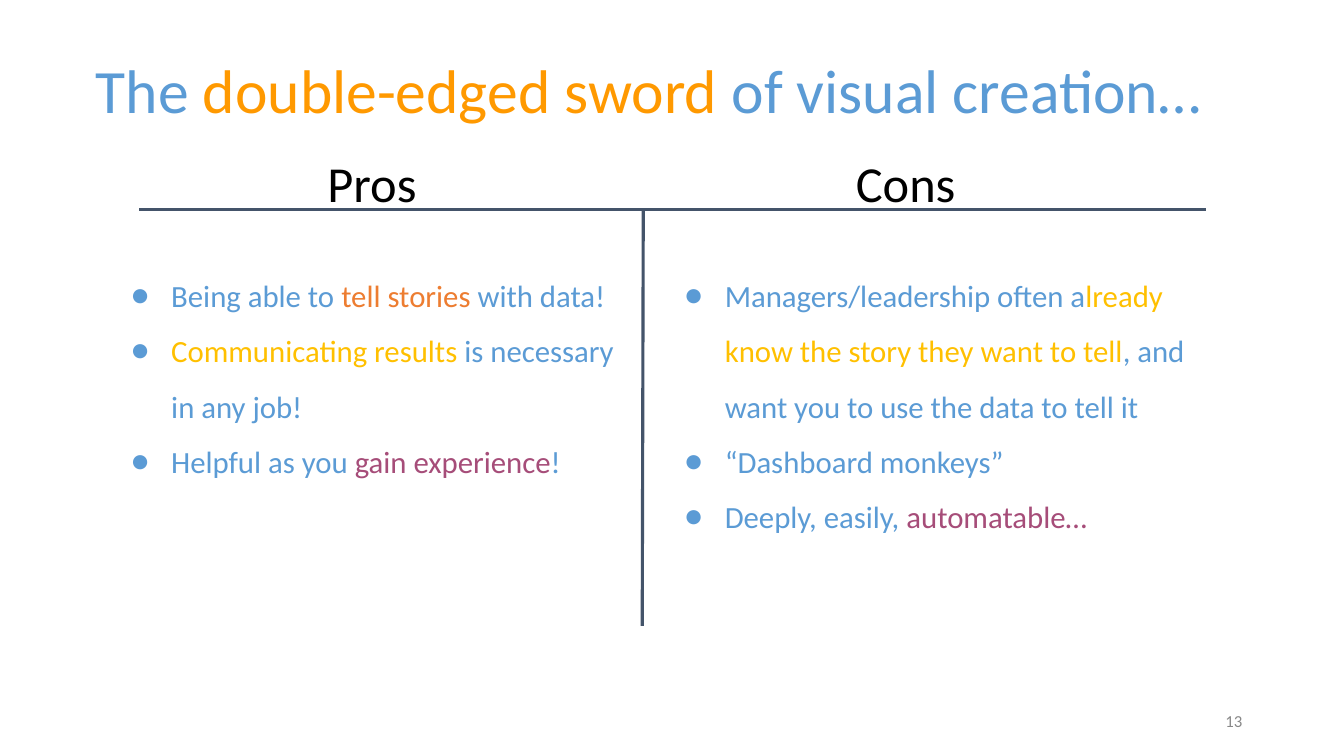
from lxml.etree import SubElement
from pptx import Presentation
from pptx.dml.color import RGBColor
from pptx.enum.shapes import MSO_CONNECTOR
from pptx.enum.text import MSO_ANCHOR, MSO_AUTO_SIZE, PP_ALIGN
from pptx.oxml.ns import qn
from pptx.util import Pt

PX = 9144  # 100 px to the inch
BLUE, AMBER, GOLD = "5B9BD5", "FF9900", "FFC000"
ORANGE, PLUM, SLATE = "ED7D31", "A64D79", "44546A"


def color(value):
    return RGBColor.from_string(value)


def write_text(box, place, paragraphs, size, inset=10, anchor=MSO_ANCHOR.TOP,
               align=PP_ALIGN.LEFT, spacing=None, fit=MSO_AUTO_SIZE.NONE, bulleted=()):
    """Fill a box with paragraphs of (text, colour) spans; bulleted has one flag for each."""
    box.left, box.top, box.width, box.height = [value * PX for value in place]
    frame = box.text_frame
    frame.word_wrap = True
    frame.auto_size = fit
    frame.vertical_anchor = anchor
    frame.margin_left = frame.margin_right = 10 * PX
    frame.margin_top = frame.margin_bottom = inset * PX
    for index, spans in enumerate(paragraphs):
        para = frame.paragraphs[0] if index == 0 else frame.add_paragraph()
        para.alignment = align
        if spacing:
            para.line_spacing = spacing
        if bulleted:
            properties = para._p.get_or_add_pPr()
            properties.set("marL", str(50 * PX))
            properties.set("indent", str(-40 * PX if bulleted[index] else 0))
            if bulleted[index]:
                bullet_color = SubElement(properties, qn("a:buClr"))
                SubElement(bullet_color, qn("a:srgbClr"), val=BLUE)
                SubElement(properties, qn("a:buFont"), typeface="Calibri")
                SubElement(properties, qn("a:buChar"), char="●")
            else:
                SubElement(properties, qn("a:buNone"))
        for text, hex_value in spans:
            span = para.add_run()
            span.text = text
            span.font.name = "Calibri"
            span.font.size = Pt(size)
            span.font.color.rgb = color(hex_value)


deck = Presentation()
deck.slide_width, deck.slide_height = 1333 * PX, 750 * PX
slide = deck.slides.add_slide(deck.slide_layouts[5])

# Title
title = [("The ", BLUE), ("double-edged sword", AMBER), (" of visual creation…", BLUE)]
write_text(slide.shapes.title, (85, 31, 1193, 123), [title], 44, inset=5,
           anchor=MSO_ANCHOR.MIDDLE, spacing=0.9)

# T-shaped divider
divider = slide.shapes.add_group_shape()
for ends in [(638, 208, 637, 621), (138, 208, 1196, 208)]:
    line = divider.shapes.add_connector(MSO_CONNECTOR.STRAIGHT, *[value * PX for value in ends])
    line.line.color.rgb = color(SLATE)
    line.line.width = Pt(2.25)
    SubElement(line._element.spPr, qn("a:effectLst"))

# Columns: heading, heading left, list left, list height, bullet flags, list paragraphs
columns = [
    ("Pros", 315, 110, 224, (True, True, False, True), [
        [("Being able to ", BLUE), ("tell stories", ORANGE), (" with data!", BLUE)],
        [("Communicating results ", GOLD), ("is necessary", BLUE)],
        [("in any job!", BLUE)],
        [("Helpful as you ", BLUE), ("gain experience", PLUM), ("!", BLUE)],
    ]),
    ("Cons", 839, 659, 279, (True, True, True), [
        [("Managers/leadership often a", BLUE),
         ("lready know the story they want to tell", GOLD),
         (", and want you to use the data to tell it", BLUE)],
        [("“Dashboard monkeys”", BLUE)],
        [("Deeply, easily, ", BLUE), ("automatable…", PLUM)],
    ]),
]
for heading, heading_left, list_left, list_height, flags, paragraphs in columns:
    heading_box = slide.shapes.add_textbox(0, 0, 0, 0)
    write_text(heading_box, (heading_left, 141, 124, 86), [[(heading, "000000")]], 36)
    list_box = slide.shapes.add_textbox(0, 0, 0, 0)
    write_text(list_box, (list_left, 246, 549, list_height), paragraphs, 22, spacing=1.5,
               fit=MSO_AUTO_SIZE.SHAPE_TO_FIT_TEXT, bulleted=flags)

# Slide number
number_box = slide.shapes.add_textbox(0, 0, 0, 0)
write_text(number_box, (942, 695, 300, 40), [[("13", "888888")]], 12, inset=5,
           anchor=MSO_ANCHOR.MIDDLE, align=PP_ALIGN.RIGHT)

deck.save("out.pptx")
